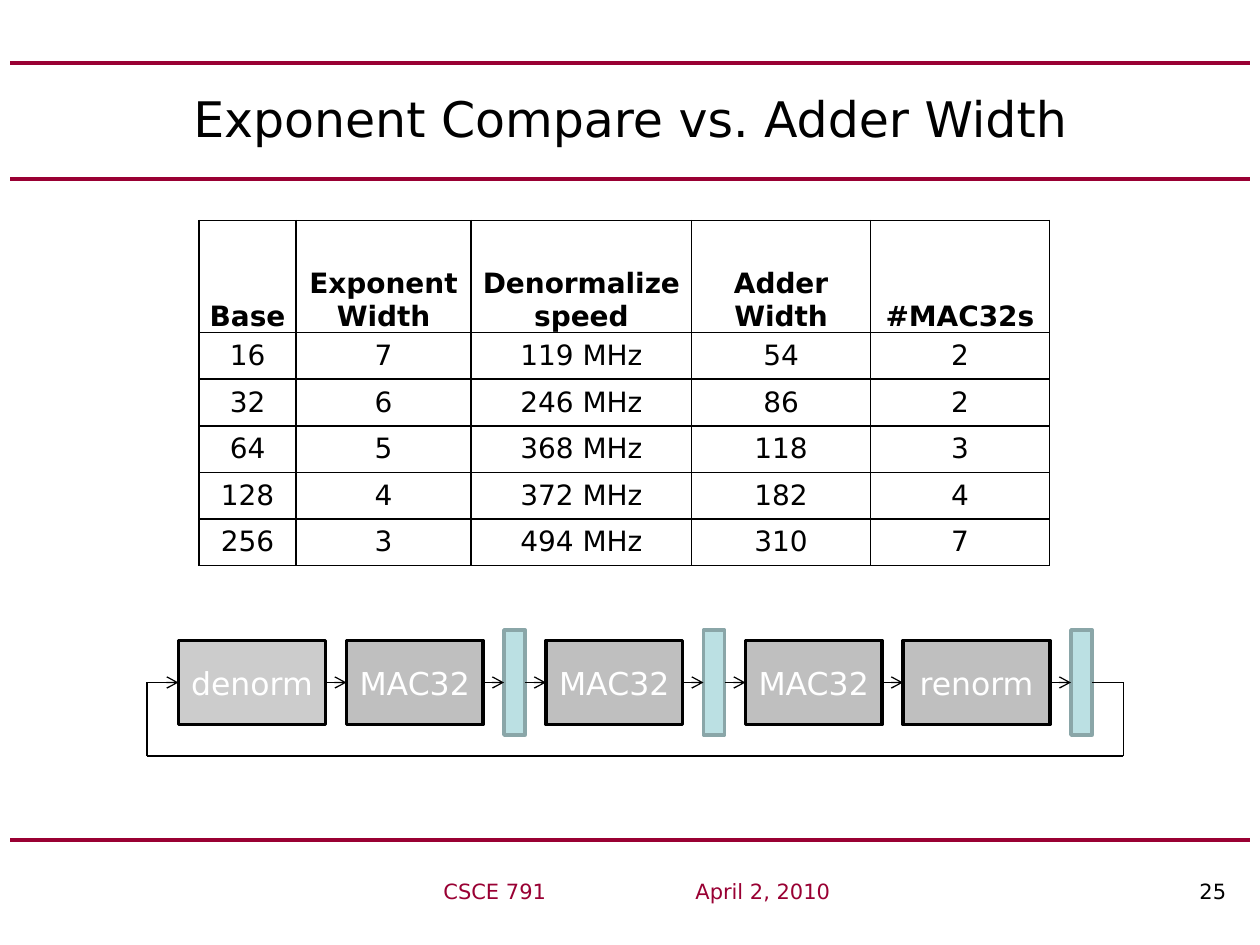
from lxml import etree
from pptx import Presentation
from pptx.dml.color import RGBColor
from pptx.enum.shapes import MSO_CONNECTOR, MSO_SHAPE
from pptx.enum.text import MSO_ANCHOR as ANCHOR, PP_ALIGN as ALIGN
from pptx.oxml.ns import qn
from pptx.util import Inches, Pt

rgb = RGBColor.from_string


def write(p, text, size=16, color="000000", bold=False, align=ALIGN.CENTER):
    p.alignment = align
    r = p.add_run()
    r.text = text
    r.font.name = "DejaVu Sans"
    r.font.size = Pt(size)
    r.font.bold = bold
    r.font.color.rgb = rgb(color)


def connect(start, end, color="000000", width=0.75, arrow=False):
    c = s.shapes.add_connector(MSO_CONNECTOR.STRAIGHT, *start, *end)
    c.line.color.rgb = rgb(color)
    c.line.width = Pt(width)
    if arrow:
        etree.SubElement(c.line._get_or_add_ln(), qn("a:tailEnd"), type="arrow")
    etree.SubElement(c._element.spPr, qn("a:effectLst"))
    return c


prs = Presentation()
prs.slide_width, prs.slide_height = Inches(10), Inches(7.5)
s = prs.slides.add_slide(prs.slide_layouts[5])

for y in (0.5, 1.42, 6.67):
    connect((Inches(0.08), Inches(y)), (Inches(9.92), Inches(y)), "990033", 2.25)

title = s.shapes.title
title.left, title.top = Inches(0.5), Inches(0.5)
title.width, title.height = Inches(9), Inches(0.87)
title.text_frame.vertical_anchor = ANCHOR.MIDDLE
write(title.text_frame.paragraphs[0], "Exponent Compare vs. Adder Width", size=28)

footer = s.shapes.add_textbox(Inches(2.83), Inches(6.92), Inches(7), Inches(0.33))
footer.text_frame.word_wrap = True
p = footer.text_frame.paragraphs[0]
tabs = etree.SubElement(p._p.get_or_add_pPr(), qn("a:tabLst"))
for stop in (2, 6):
    etree.SubElement(tabs, qn("a:tab"), pos=str(Inches(stop)), algn="l")
write(p, "CSCE 791\tApril 2, 2010 \t", size=12, color="990033", align=ALIGN.RIGHT)
write(p, "25", size=12, align=ALIGN.RIGHT)

rows = [
    ("Base", "Exponent Width", "Denormalize speed", "Adder Width", "#MAC32s"),
    ("16", "7", "119 MHz", "54", "2"),
    ("32", "6", "246 MHz", "86", "2"),
    ("64", "5", "368 MHz", "118", "3"),
    ("128", "4", "372 MHz", "182", "4"),
    ("256", "3", "494 MHz", "310", "7"),
]
table = s.shapes.add_table(len(rows), len(rows[0]), Inches(1.58), Inches(1.75),
                           Inches(6.75), Inches(2.72)).table
table.first_row = table.horz_banding = False
for col, width in zip(table.columns, (0.77, 1.39, 1.75, 1.42, 1.42)):
    col.width = Inches(width)
for i, row in enumerate(rows):
    header = i == 0
    table.rows[i].height = Inches(0.89 if header else 0.37)
    for j, text in enumerate(row):
        cell = table.cell(i, j)
        cell.margin_left = cell.margin_right = Inches(0.07)
        cell.margin_top = cell.margin_bottom = 0
        cell.vertical_anchor = ANCHOR.BOTTOM if header else ANCHOR.MIDDLE
        for side in ("a:lnL", "a:lnR", "a:lnT", "a:lnB"):
            ln = etree.SubElement(cell._tc.get_or_add_tcPr(), qn(side), w=str(Pt(1)))
            fill = etree.SubElement(ln, qn("a:solidFill"))
            etree.SubElement(fill, qn("a:srgbClr"), val="000000")
        cell.fill.background()
        write(cell.text_frame.paragraphs[0], text, bold=header)

unit = Inches(1) // 12
axis = 65 * unit
block = dict(height=8, line="000000", fill="BFBFBF")
mac = dict(block, text="MAC32", width=13)
register = dict(text="", width=2, height=10, line="8AA6A8", fill="BBE0E3")
stages = [
    dict(block, text="denorm", width=14, fill="CCCCCC"),
    mac, register, mac, register, mac,
    dict(block, text="renorm", width=14),
    register,
]
x = 17 * unit
boxes = []
for stage in stages:
    width, height = stage["width"] * unit, stage["height"] * unit
    sp = s.shapes.add_shape(MSO_SHAPE.RECTANGLE, x, axis - height // 2, width, height)
    sp.shadow.inherit = False
    sp.fill.solid()
    sp.fill.fore_color.rgb = rgb(stage["fill"])
    sp.line.color.rgb = rgb(stage["line"])
    sp.line.width = Pt(2)
    if stage["text"]:
        sp.text_frame.word_wrap = False
        sp.text_frame.vertical_anchor = ANCHOR.MIDDLE
        write(sp.text_frame.paragraphs[0], stage["text"], size=18, color="FFFFFF")
    boxes.append(sp)
    x += width + 2 * unit

for a, b in zip(boxes, boxes[1:]):
    c = connect((a.left + a.width, axis), (b.left, axis), arrow=True)
    c.begin_connect(a, 3)
    c.end_connect(b, 1)

first, last = boxes[0], boxes[-1]
left, right, bottom = first.left - 3 * unit, last.left + last.width + 3 * unit, Inches(6)
loop = [(last.left + last.width, axis), (right, axis), (right, bottom),
        (left, bottom), (left, axis), (first.left, axis)]
sides = [connect(a, b, arrow=b == loop[-1]) for a, b in zip(loop, loop[1:])]
sides[0].begin_connect(last, 3)
sides[-1].end_connect(first, 1)

prs.save("out.pptx")
